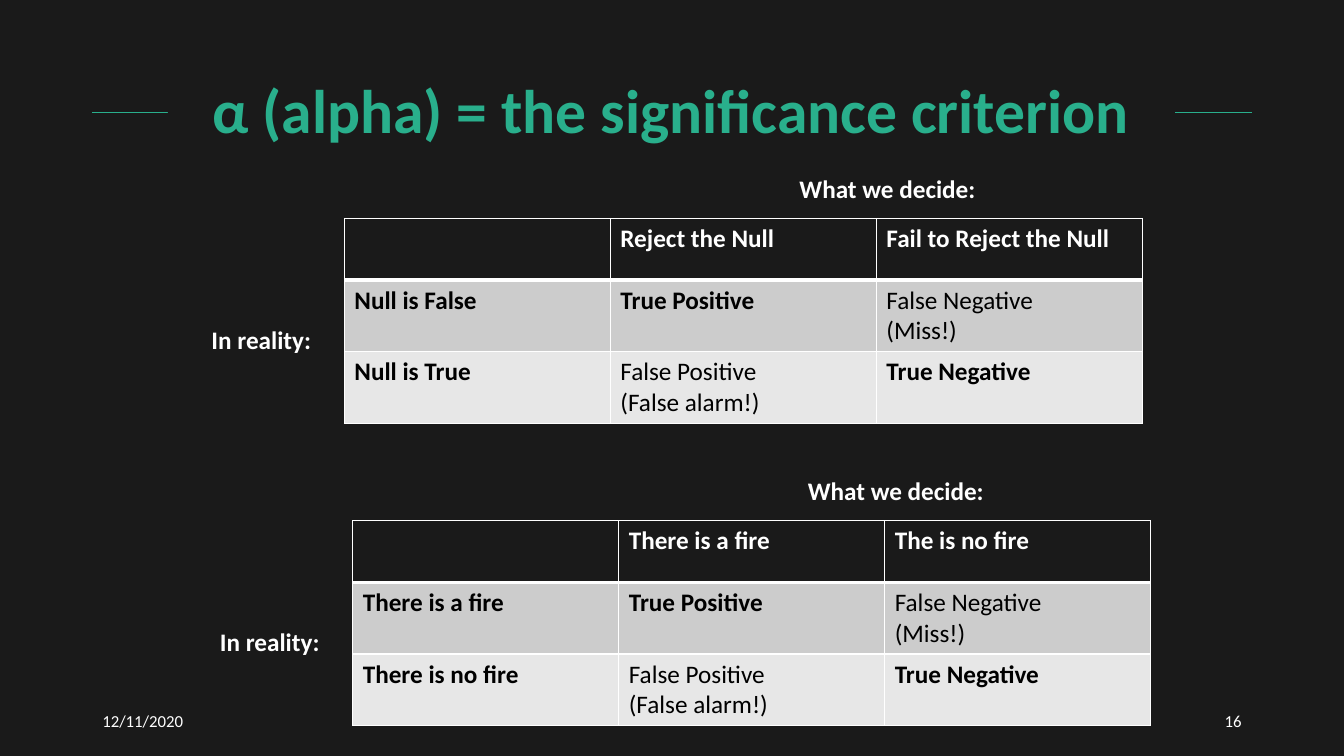
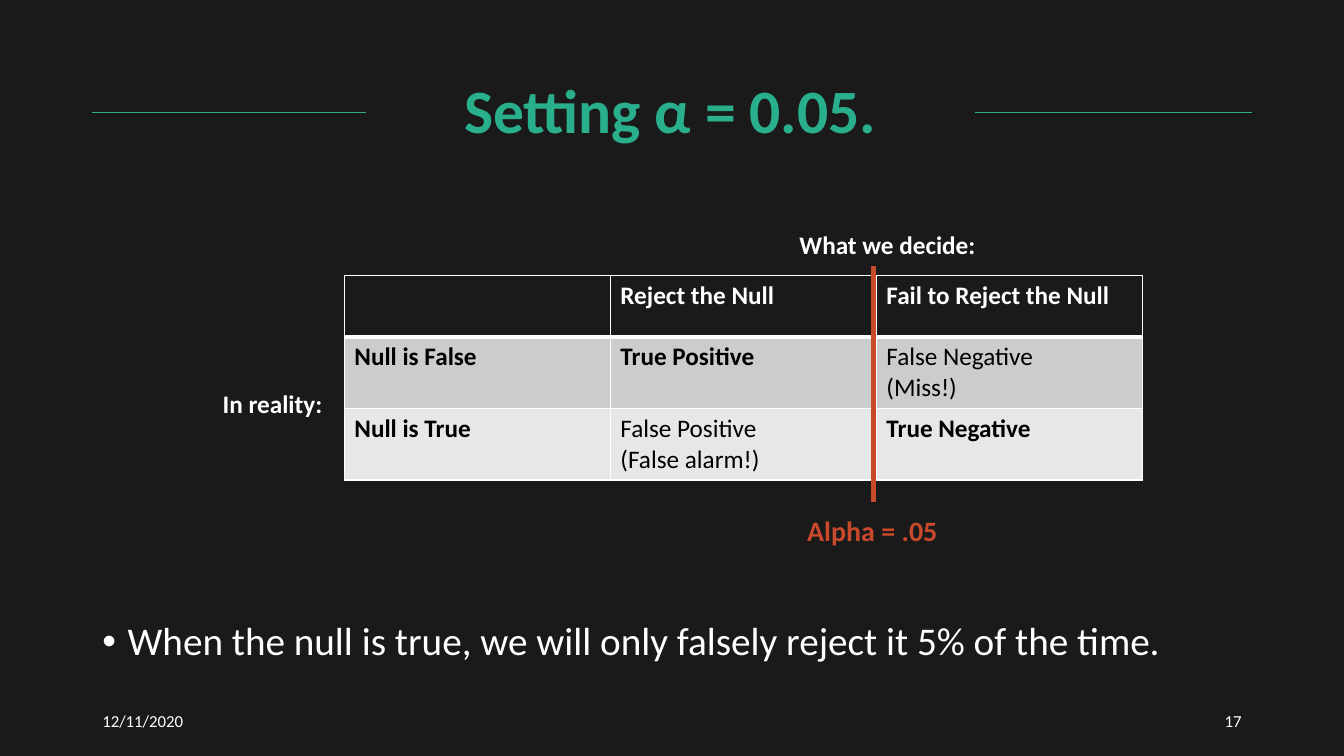
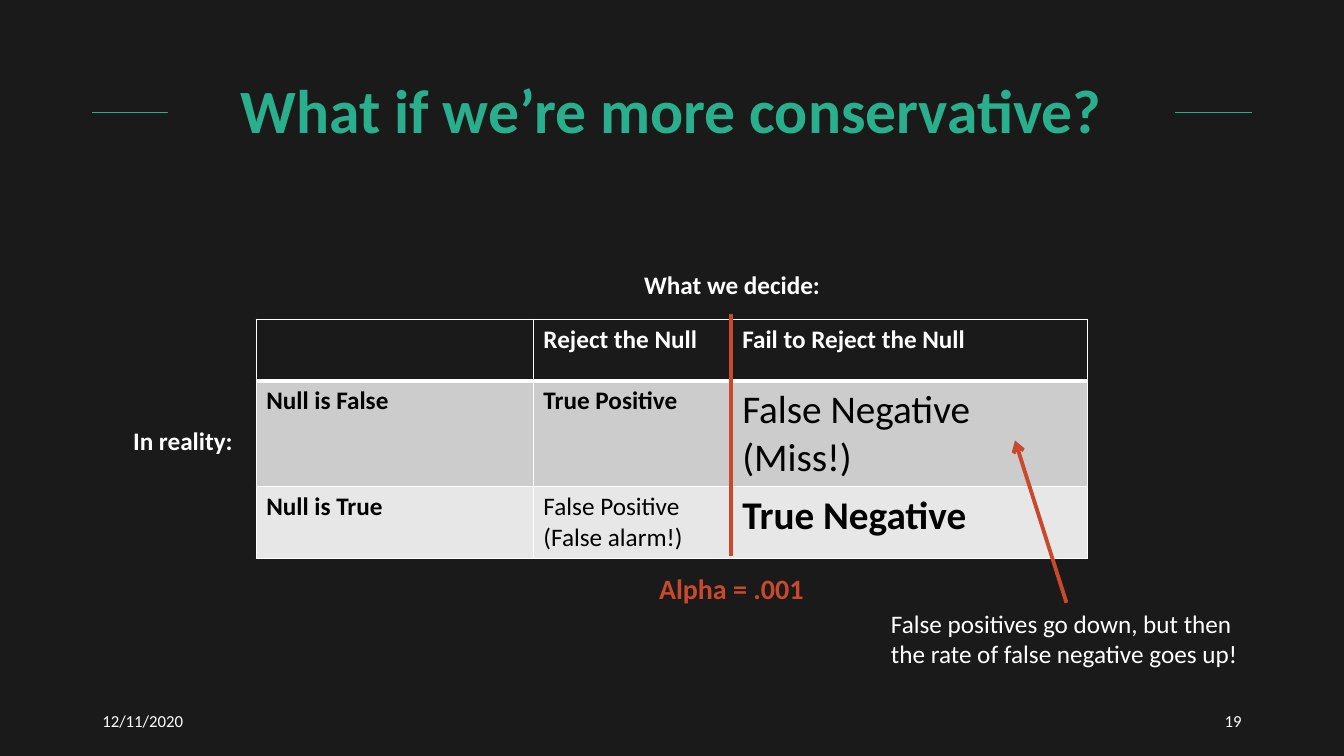
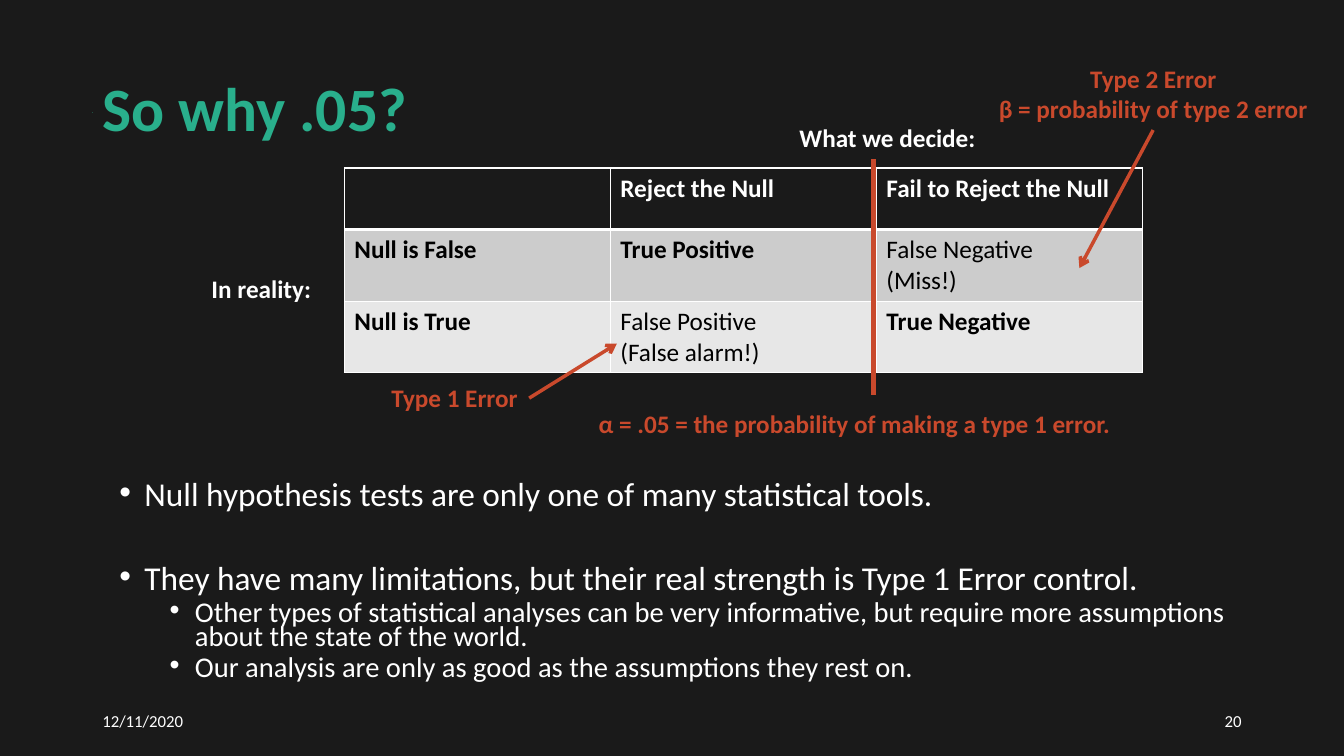
from lxml import etree
from pptx import Presentation
from pptx.dml.color import RGBColor
from pptx.enum.shapes import MSO_CONNECTOR
from pptx.enum.text import MSO_ANCHOR, MSO_AUTO_SIZE, PP_ALIGN
from pptx.oxml.ns import qn
from pptx.util import Pt

STRAIGHT = MSO_CONNECTOR.STRAIGHT
TOP, MIDDLE = MSO_ANCHOR.TOP, MSO_ANCHOR.MIDDLE
NO_AUTOFIT = MSO_AUTO_SIZE.NONE
LEFT, CENTER, RIGHT = PP_ALIGN.LEFT, PP_ALIGN.CENTER, PP_ALIGN.RIGHT
TITLE_AND_BODY, TITLE_ONLY = 1, 5

FONT = "Calibri"
DARK, WHITE, BLACK = "1A1A1A", "FFFFFF", "000000"
GREEN, RED = "29AF8C", "C9492C"
ROW_FILLS = (DARK, "CCCCCC", "E7E7E7")
ROW_HEIGHT = 44
EVEN_COLUMNS = (190, 190, 190)
WIDE_TITLE = (120, 28.8, 719.3, 104.4)

NULL_GRID = (
    ("", "Reject the Null", "Fail to Reject the Null"),
    ("Null is False", "True Positive", "False Negative\n(Miss!)"),
    ("Null is True", "False Positive\n(False alarm!)", "True Negative"),
)
FIRE_GRID = (
    ("", "There is a fire", "The is no fire"),
    ("There is a fire", "True Positive", "False Negative\n(Miss!)"),
    ("There is no fire", "False Positive\n(False alarm!)", "True Negative"),
)


def colour(code):
    return RGBColor.from_string(code)


class Lecture:
    def __init__(self):
        self.deck = Presentation()
        self.deck.slide_width, self.deck.slide_height = Pt(960), Pt(540)
        background = self.deck.slide_master.background.fill
        background.solid()
        background.fore_color.rgb = colour(DARK)
        self.page = None

    def start(self, title, number, area=WIDE_TITLE, align=CENTER, layout=TITLE_ONLY):
        self.page = self.deck.slides.add_slide(self.deck.slide_layouts[layout])
        rule = self.line((66, 80), (894, 80), GREEN, 0.5)
        self.page.shapes.element.insert(2, rule.element)
        box = self.page.shapes.title
        self.place(box, area)
        self.paint(box, DARK)
        self.set_text(box.text_frame, title, 44, GREEN, True, align, MIDDLE)
        box.text_frame.paragraphs[0].line_spacing = 0.9
        self.text((66, 500.4, 216, 28.8), "12/11/2020", 12, anchor=MIDDLE)
        self.text((678, 500.4, 216, 28.8), str(number), 12, align=RIGHT, anchor=MIDDLE)

    def place(self, box, area):
        box.left, box.top, box.width, box.height = map(Pt, area)

    def paint(self, target, fill):
        target.fill.solid()
        target.fill.fore_color.rgb = colour(fill)

    def add_span(self, para, text, size, ink, bold):
        span = para.add_run()
        span.text = text
        span.font.name = FONT
        span.font.size = Pt(size)
        span.font.bold = bold
        span.font.color.rgb = colour(ink)

    def set_text(self, frame, text, size, ink, bold=False, align=LEFT, anchor=TOP, wrap=True):
        frame.word_wrap = wrap
        frame.auto_size = NO_AUTOFIT
        frame.vertical_anchor = anchor
        for index, words in enumerate(text.split("\n")):
            para = frame.add_paragraph() if index else frame.paragraphs[0]
            para.alignment = align
            self.add_span(para, words, size, ink, bold)

    def text(self, area, text, size=18, ink=WHITE, bold=False, align=LEFT,
             anchor=TOP, wrap=True, fill=None):
        box = self.page.shapes.add_textbox(*map(Pt, area))
        if fill:
            self.paint(box, fill)
        self.set_text(box.text_frame, text, size, ink, bold, align, anchor, wrap)

    def label(self, area, text, size=18, ink=WHITE, align=LEFT, fill=None):
        self.text(area, text, size, ink, True, align, wrap=False, fill=fill)

    def line(self, start, end, ink=RED, width=3, arrow=False):
        connector = self.page.shapes.add_connector(STRAIGHT, *map(Pt, start + end))
        connector.line.width = Pt(width)
        connector.line.color.rgb = colour(ink)
        properties = connector.element.spPr
        if arrow:
            outline = properties.find(qn("a:ln"))
            etree.SubElement(outline, qn("a:tailEnd"), type="arrow")
        etree.SubElement(properties, qn("a:effectLst"))
        return connector

    def border(self, cell, row):
        properties = cell._tc.get_or_add_tcPr()
        heavy = {0: "lnB", 1: "lnT"}.get(row)
        for position, side in enumerate(("lnL", "lnR", "lnT", "lnB")):
            width = Pt(3 if side == heavy else 1)
            edge = etree.Element(qn(f"a:{side}"), w=str(width))
            fill = etree.SubElement(edge, qn("a:solidFill"))
            etree.SubElement(fill, qn("a:srgbClr"), val=WHITE)
            properties.insert(position, edge)

    def decisions(self, left, top, grid=NULL_GRID, columns=EVEN_COLUMNS, last_size=18,
                  decide=(318, -36), reality=(-102, 72)):
        self.label((left + decide[0], top + decide[1], 141, 29), "What we decide:")
        self.label((left + reality[0], top + reality[1], 86.5, 29), "In reality:")
        area = (left, top, sum(columns), ROW_HEIGHT * len(grid))
        table = self.page.shapes.add_table(len(grid), len(columns), *map(Pt, area)).table
        table.first_row = table.horz_banding = False
        for column, width in zip(table.columns, columns):
            column.width = Pt(width)
        for row, words in enumerate(grid):
            table.rows[row].height = Pt(ROW_HEIGHT)
            for column, text in enumerate(words):
                cell = table.cell(row, column)
                self.paint(cell, ROW_FILLS[row])
                self.border(cell, row)
                if text:
                    size = last_size if row and column == 2 else 18
                    ink = BLACK if row else WHITE
                    self.set_text(cell.text_frame, text, size, ink, not text.startswith("False"))

    def bullets(self, area, items, spacing):
        box = self.page.placeholders[1]
        self.place(box, area)
        frame = box.text_frame
        frame.auto_size = NO_AUTOFIT
        for index, (level, before, size, text) in enumerate(items):
            para = frame.add_paragraph() if index else frame.paragraphs[0]
            para.level = level
            properties = para._p.get_or_add_pPr()
            properties.set("marL", str(Pt(18 + 36 * level)))
            properties.set("indent", str(Pt(-18)))
            etree.SubElement(properties, qn("a:buFont"), typeface="Arial")
            etree.SubElement(properties, qn("a:buChar"), char="•")
            para.alignment = LEFT
            para.line_spacing = spacing
            para.space_before = Pt(before)
            self.add_span(para, text, size, WHITE, False)


def main():
    lecture = Lecture()

    lecture.start("α (alpha) = the significance criterion", 16)
    lecture.decisions(246, 156)
    lecture.decisions(252, 372, FIRE_GRID)

    lecture.start("Setting α = 0.05.", 17, (261.4, 28.8, 435, 104.4), layout=TITLE_AND_BODY)
    lecture.decisions(246, 196.5, reality=(-94, 77))
    lecture.line((624, 358.5), (624, 190))
    lecture.label((569.5, 363, 108.7, 31.5), "Alpha = .05", 20, RED)
    lecture.bullets((66, 440.6, 828, 39), [
        (0, 0, 28, "When the null is true, we will only falsely reject it 5% of the time."),
    ], 0.9)

    lecture.start("What if we’re more conservative?", 19)
    lecture.decisions(183, 228, columns=(198, 142, 254), last_size=28,
                      decide=(270, -39.4), reality=(-95, 72))
    lecture.line((522, 397.4), (522, 224.6))
    lecture.label((463.7, 404.6, 118.8, 31.5), "Alpha = .001", 20, RED)
    lecture.text((629.3, 430.6, 265, 51),
                 "False positives go down, but then the rate of false negative goes up!")
    lecture.line((761.8, 430.6), (725, 314.6), width=2.75, arrow=True)

    lecture.start("So why .05?", 20, (66, 34.6, 648, 90), LEFT, TITLE_AND_BODY)
    lecture.bullets((78, 342, 825, 158.4), [
        (0, 0, 23.8, "Null hypothesis tests are only one of many statistical tools."),
        (0, 40, 23.8, "They have many limitations, but their real strength is "
                      "Type 1 Error control."),
        (1, 5, 20.4, "Other types of statistical analyses can be very informative, "
                     "but require more assumptions about the state of the world."),
        (1, 5, 20.4, "Our analysis are only as good as the assumptions they rest on."),
    ], 0.7)
    lecture.decisions(246, 120)
    lecture.line((624, 282), (624, 113.8))
    lecture.label((420.5, 288, 383.8, 29),
                  "α = .05 = the probability of making a type 1 error.", ink=RED)
    lecture.label((272.5, 269.5, 105.8, 29), "Type 1 Error", ink=RED)
    lecture.line((378, 284.4), (440.6, 245.5), width=2.5, arrow=True)
    lecture.label((705, 41.8, 237.6, 51), "Type 2 Error\nβ = probability of type 2 error",
                  ink=RED, align=CENTER, fill=DARK)
    lecture.line((823.7, 92.9), (771, 191.5), width=2.5, arrow=True)

    lecture.deck.save("out.pptx")


if __name__ == "__main__":
    main()
